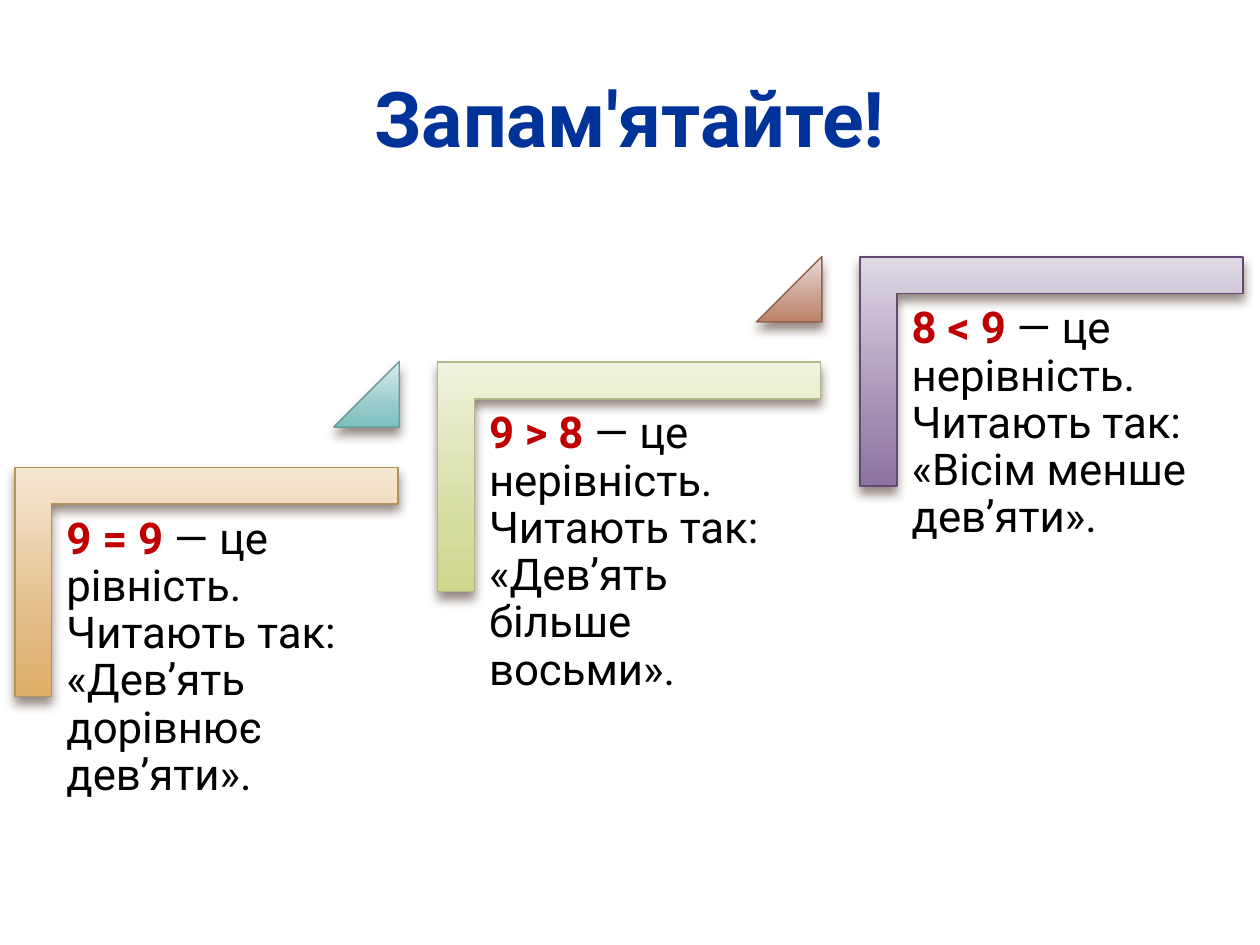
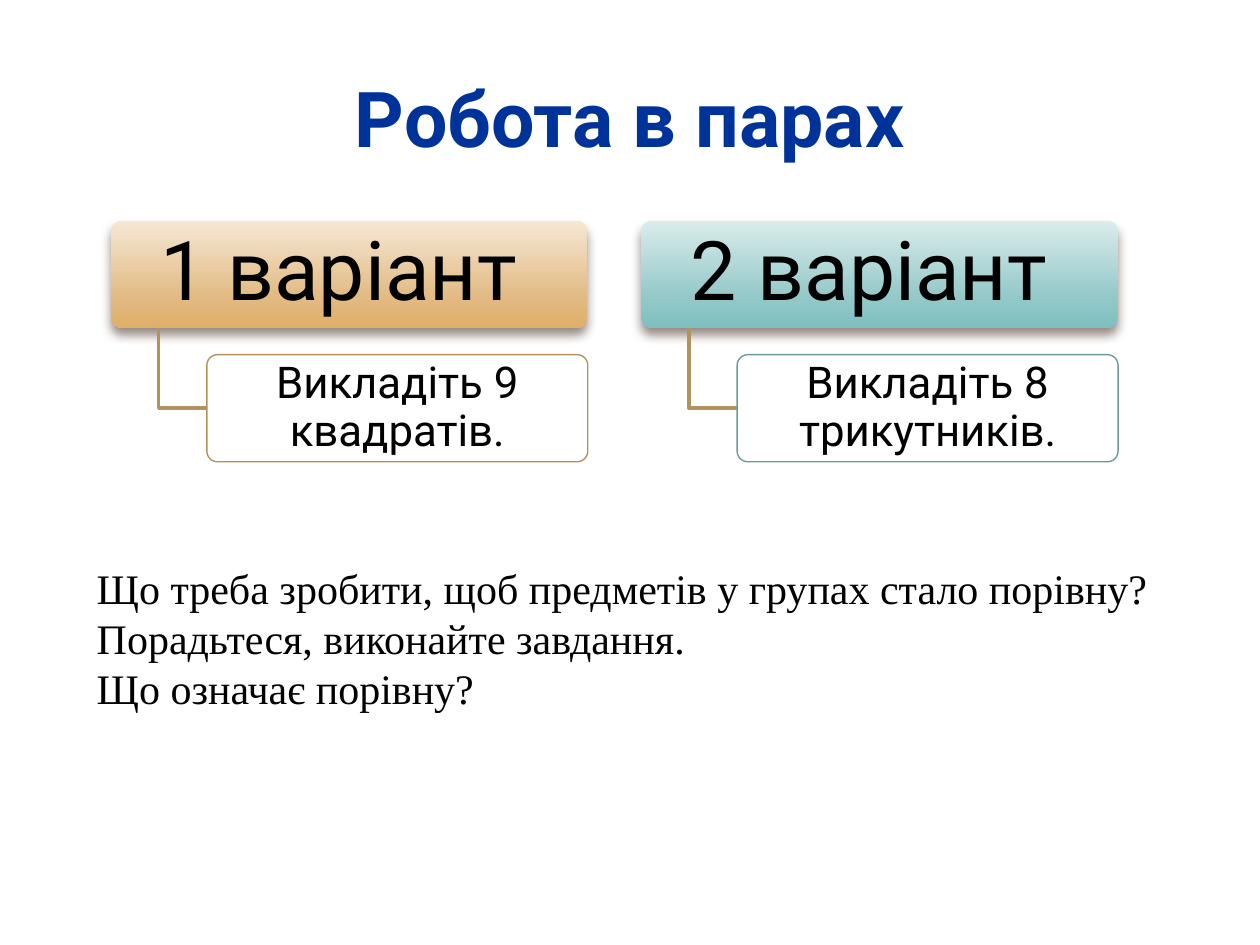
from copy import deepcopy

from lxml import etree
from pptx import Presentation
from pptx.dml.color import RGBColor
from pptx.enum import shapes, text
from pptx.oxml.ns import qn
from pptx.util import Cm, Pt

COLOURS = {
    "title": "00339A",
    "title_edge": "F2F2F2",
    "formula": "C00000",
    "text": "000000",
    "paper": "FFFFFF",
    "shadow": "4E3B30",
}
# Each theme: outline and the three gradient colours from top to bottom
THEMES = {
    "orange": {"line": "B2935C", "stops": ("F5E7D4", "E2BA83", "E0AF68")},
    "teal": {"line": "6A9A9A", "stops": ("DAECEC", "94C8C8", "7DC0C0")},
    "green": {"line": "B2B787", "stops": ("F0F3DD", "D5DCA0", "CFD78E")},
    "brown": {"line": "91644B", "stops": ("EBDCD7", "C69885", "BE8268")},
    "violet": {"line": "654A76", "stops": ("DFD9E4", "A08CB0", "8E72A3")},
}
STOP_POSITIONS = (0, 0.72, 1)
THIN = 0.79

TITLE = {"name": "Roboto", "size": Pt(44), "bold": True}
HEADING = {"name": "Roboto", "size": Pt(47), "bold": False}
BODY = {"name": "Roboto", "size": Pt(25), "bold": False}
FORMULA = {**BODY, "bold": True}
QUESTION = {"name": "Times New Roman", "size": Pt(24)}

STEPS = [
    ("9 = 9", " — це рівність. Читають так: «Дев’ять дорівнює дев’яти».", "orange", "teal"),
    ("9 > 8", " — це нерівність. Читають так: «Дев’ять більше восьми».", "green", "brown"),
    ("8 < 9", " — це нерівність. Читають так: «Вісім менше дев’яти».", "violet", None),
]
STEP_RUN, STEP_RISE = 8.52, 2.12

VARIANTS = [
    ("1 варіант ", "Викладіть 9 квадратів.", "orange"),
    ("2 варіант ", "Викладіть 8 трикутників.", "teal"),
]
VARIANT_PITCH = 10.69

QUESTIONS = [
    "Що треба зробити, щоб предметів у групах стало порівну?",
    "Порадьтеся, виконайте завдання.",
    "Що означає порівну?",
]


def rgb(colour):
    return RGBColor.from_string(COLOURS.get(colour, colour))


def add_run(paragraph, words, style, colour="text"):
    run = paragraph.add_run()
    run.text = words
    for attribute, value in style.items():
        setattr(run.font, attribute, value)
    run.font.color.rgb = rgb(colour)
    return run


def set_frame(frame, margins, anchor):
    frame.word_wrap = True
    frame.vertical_anchor = anchor
    across, down = margins
    for side, margin in {"left": across, "right": across, "top": down, "bottom": down}.items():
        setattr(frame, f"margin_{side}", Cm(margin))


def set_line(shape, colour, width):
    shape.line.color.rgb = rgb(colour)
    shape.line.width = Pt(width)


def add_solid_colour(parent, colour):
    return etree.SubElement(parent, qn("a:srgbClr"), val=COLOURS[colour])


def add_shadow(shape):
    """Soft shadow that falls straight down."""
    shape.shadow.inherit = False
    effects = shape.element.spPr.find(qn("a:effectLst"))
    shadow = etree.SubElement(effects, qn("a:outerShdw"), blurRad=str(Pt(6)),
                              dist=str(Pt(4)), dir="5400000", rotWithShape="0")
    etree.SubElement(add_solid_colour(shadow, "shadow"), qn("a:alpha"), val="60000")


def fill_gradient(shape, colours):
    """Vertical gradient that stays upright when the shape is turned."""
    shape.fill.gradient()
    shape.fill.gradient_angle = 270
    gradient = shape.element.spPr.find(qn("a:gradFill"))
    gradient.set("rotWithShape", "0")
    stops = gradient.find(qn("a:gsLst"))
    stops.append(deepcopy(stops[-1]))
    for stop, position, colour in zip(shape.fill.gradient_stops, STOP_POSITIONS, colours):
        stop.position = position
        stop.color.rgb = rgb(colour)


def add_preset(slide, preset, place, adjustments):
    shape = slide.shapes.add_shape(preset, *map(Cm, place))
    shape.shadow.inherit = False
    for index, value in enumerate(adjustments):
        shape.adjustments[index] = value
    return shape


def add_gradient_shape(slide, preset, place, adjustments, theme, outlined=True):
    shape = add_preset(slide, preset, place, adjustments)
    fill_gradient(shape, THEMES[theme]["stops"])
    if outlined:
        set_line(shape, THEMES[theme]["line"], THIN)
    else:
        shape.line.fill.background()
    add_shadow(shape)
    return shape


def add_titled_slide(deck, words):
    slide = deck.slides.add_slide(deck.slide_layouts[5])
    title = slide.shapes.title
    title.left, title.top, title.width, title.height = map(Cm, (1.27, 0.76, 22.86, 3.18))
    title.text_frame.vertical_anchor = text.MSO_ANCHOR.MIDDLE
    paragraph = title.text_frame.paragraphs[0]
    paragraph.alignment = text.PP_ALIGN.CENTER
    run = add_run(paragraph, words, TITLE, "title")
    edge = etree.Element(qn("a:ln"), w=str(Pt(0.15)))
    add_solid_colour(etree.SubElement(edge, qn("a:solidFill")), "title_edge")
    run.font._element.insert(0, edge)
    return slide


def add_step(slide, index, formula, reading, theme, arrow_theme):
    """One stair: corner bracket, its explanation and the pointer to the next stair."""
    right, up = index * STEP_RUN, index * STEP_RISE
    bracket = add_gradient_shape(slide, shapes.MSO_SHAPE.CORNER,
                                 (1.85 + right, 7.87 - up, 4.62, 7.72),
                                 (0.161, 0.161), theme)
    bracket.rotation = 90
    explanation = slide.shapes.add_textbox(
        *map(Cm, (1.09 + right, 10.16 - up, 6.96, 6.1))).text_frame
    set_frame(explanation, (0.25, 0.25), text.MSO_ANCHOR.TOP)
    paragraph = explanation.paragraphs[0]
    paragraph.line_spacing = 0.9
    add_run(paragraph, formula, FORMULA, "formula")
    add_run(paragraph, reading, BODY)
    if arrow_theme:
        add_gradient_shape(slide, shapes.MSO_SHAPE.ISOSCELES_TRIANGLE,
                           (6.73 + right, 7.29 - up, 1.32, 1.32), (1,), arrow_theme)


def write_centred(shape, words, style, margins):
    set_frame(shape.text_frame, margins, text.MSO_ANCHOR.MIDDLE)
    paragraph = shape.text_frame.paragraphs[0]
    paragraph.alignment = text.PP_ALIGN.CENTER
    paragraph.line_spacing = 0.9
    add_run(paragraph, words, style)


def add_branch(slide, left, top, right, bottom):
    """Line that goes down and then to the right."""
    left, top, right, bottom = map(Cm, (left, top, right, bottom))
    builder = slide.shapes.build_freeform(left, top)
    builder.add_line_segments([(left, bottom), (right, bottom)], close=False)
    branch = builder.convert_to_shape()
    branch.shadow.inherit = False
    branch.fill.background()
    set_line(branch, THEMES["orange"]["line"], 2)


def add_variant(slide, index, heading, task, theme):
    left = 2.24 + index * VARIANT_PITCH
    rounded = shapes.MSO_SHAPE.ROUNDED_RECTANGLE
    header = add_gradient_shape(slide, rounded, (left, 4.45, 9.6, 2.16), (0.1,),
                                theme, outlined=False)
    write_centred(header, heading, HEADING, (0.25, 0.17))
    add_branch(slide, left + 0.96, 6.61, left + 1.93, 8.23)
    card = add_preset(slide, rounded, (left + 1.93, 7.15, 7.68, 2.16), (0.1,))
    card.fill.solid()
    card.fill.fore_color.rgb = rgb("paper")
    set_line(card, THEMES[theme]["line"], THIN)
    write_centred(card, task, BODY, (0.13, 0.08))


def add_questions(slide):
    frame = slide.shapes.add_textbox(*map(Cm, (1.7, 11.2, 22.81, 3.33))).text_frame
    set_frame(frame, (0.25, 0.13), text.MSO_ANCHOR.TOP)
    frame.auto_size = text.MSO_AUTO_SIZE.SHAPE_TO_FIT_TEXT
    for index, question in enumerate(QUESTIONS):
        paragraph = frame.add_paragraph() if index else frame.paragraphs[0]
        add_run(paragraph, question, QUESTION)


def main():
    deck = Presentation()
    deck.slide_width, deck.slide_height = Cm(25.4), Cm(19.05)

    remember = add_titled_slide(deck, "Запам'ятайте!")
    for index, step in enumerate(STEPS):
        add_step(remember, index, *step)

    pair_work = add_titled_slide(deck, "Робота в парах")
    for index, variant in enumerate(VARIANTS):
        add_variant(pair_work, index, *variant)
    add_questions(pair_work)

    deck.save("out.pptx")


if __name__ == "__main__":
    main()
